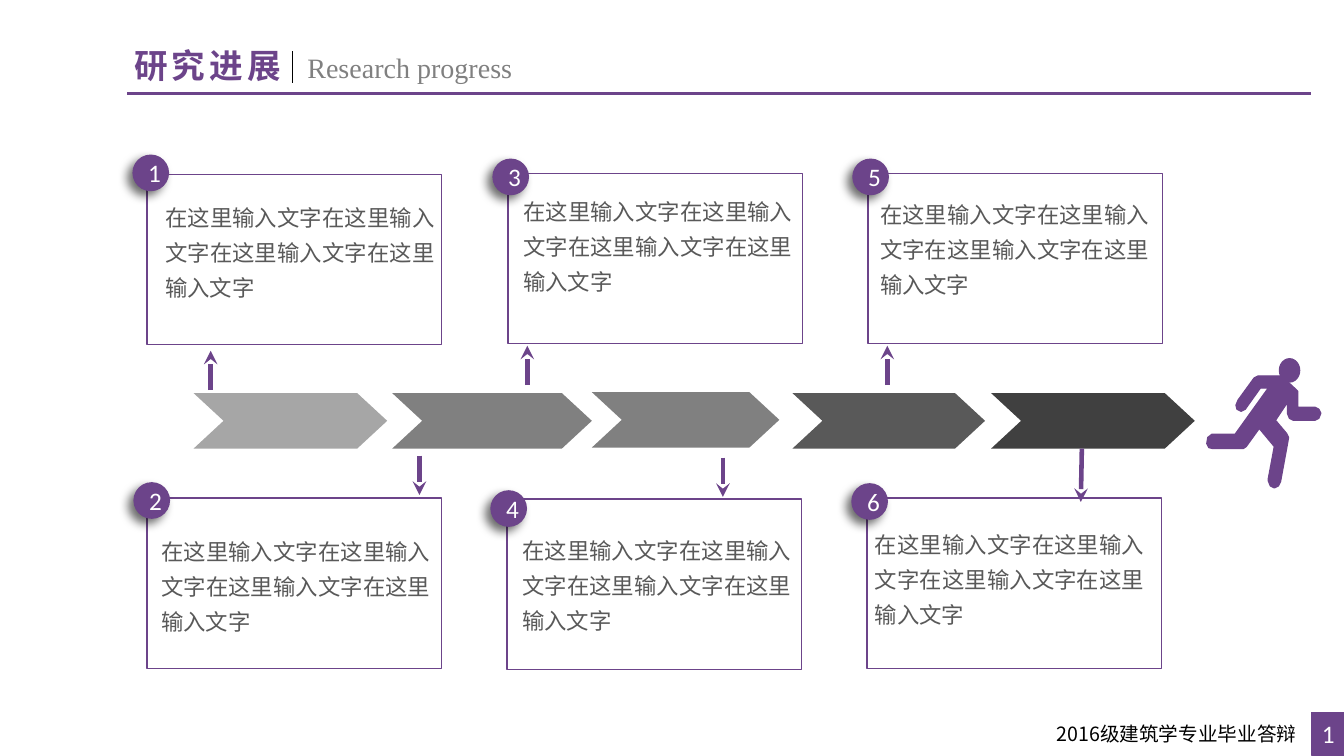
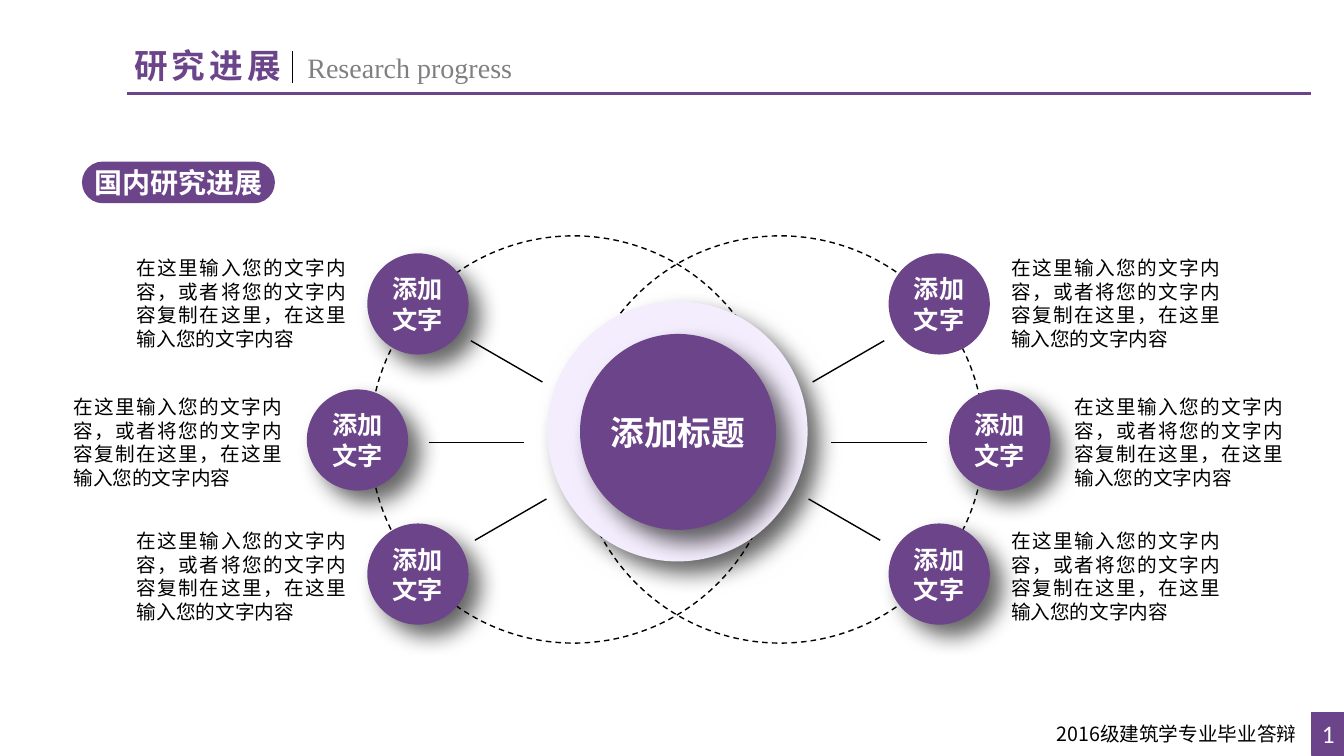
from dataclasses import dataclass

from lxml import etree
from pptx import Presentation
from pptx.dml.color import RGBColor
from pptx.enum.dml import MSO_LINE
from pptx.enum.shapes import MSO_CONNECTOR, MSO_SHAPE
from pptx.enum.text import MSO_ANCHOR, MSO_AUTO_SIZE, PP_ALIGN
from pptx.oxml.ns import qn
from pptx.util import Emu, Pt

PX = 9144  # EMU in one px, 100 px to the inch
TITLE_ONLY = 5

RECT, OVAL = MSO_SHAPE.RECTANGLE, MSO_SHAPE.OVAL
PILL, CHEVRON = MSO_SHAPE.ROUNDED_RECTANGLE, MSO_SHAPE.CHEVRON
STRAIGHT, DASH = MSO_CONNECTOR.STRAIGHT, MSO_LINE.DASH
LEFT, CENTER, JUSTIFY = PP_ALIGN.LEFT, PP_ALIGN.CENTER, PP_ALIGN.JUSTIFY
TOP, MIDDLE = MSO_ANCHOR.TOP, MSO_ANCHOR.MIDDLE


@dataclass(frozen=True)
class Theme:
    purple: str = "6C448A"
    lilac: str = "F4EDFD"
    black: str = "000000"
    white: str = "FFFFFF"
    gray: str = "808080"
    body: str = "595959"
    chevrons: tuple = ("A6A6A6", "808080", "808080", "595959", "404040")
    cjk: str = "Noto Sans CJK SC"
    latin: str = "Calibri"
    serif: str = "Times New Roman"
    title: int = 24
    subtitle: int = 20
    label: int = 18
    card: int = 16
    small: int = 14
    # Shadows: opacity %, blur pt, distance pt, direction in degrees
    badge_shadow: tuple = (57, 7, 5, 135)
    node_shadow: tuple = (60, 16, 12, 45)


THEME = Theme()

CARD_TEXT = "在这里输入文字" * 4
CAPTION = "在这里输入您的文字内容，或者将您的文字内容复制在这里，在这里输入您的文字内容"

# Cards: box left and top, badge left and top, text left and top
CARDS = [
    (146, 173, 132, 154, 154, 190),
    (146, 494, 133, 479, 150, 521),
    (504, 172, 489, 158, 509, 184),
    (503, 495, 487, 487, 508, 520),
    (861, 172, 846, 158, 863, 187),
    (860, 494, 845, 480, 858, 514),
]
# Arrows from the chevrons to the cards: tail, then tip
ARROWS = [
    (209, 387, 209, 348), (416, 452, 416, 491), (523, 382, 523, 343),
    (717, 454, 717, 493), (880, 382, 880, 343), (1073, 445, 1072, 498),
]
# Chevrons: left, top, width
CHEVRONS = [(192, 390, 192), (389, 390, 198), (587, 389, 186),
            (786, 390, 191), (983, 390, 202)]
RUNNER = [
    (1202, 431), (1225, 431), (1258, 385), (1250, 385), (1235, 406),
    (1231, 408), (1227, 406), (1226, 402), (1228, 397), (1244, 375),
    (1248, 373), (1271, 373), (1287, 388), (1287, 404), (1304, 404),
    (1308, 406), (1310, 410), (1308, 415), (1304, 417), (1283, 417),
    (1279, 415), (1277, 410), (1277, 399), (1265, 417), (1276, 430),
    (1278, 434), (1277, 440), (1270, 478), (1268, 482), (1264, 484),
    (1260, 482), (1258, 477), (1258, 475), (1264, 443), (1249, 425),
    (1236, 443), (1233, 445), (1229, 445), (1203, 445), (1199, 444),
    (1197, 440), (1198, 434),
]

# Left half of the hub diagram; the right half mirrors it
NODES = [(365, 252, 126, 249), (305, 387, 63, 387), (365, 520, 126, 520)]
SPOKES = [(467, 338, 538, 379), (471, 536, 542, 495), (425, 439, 520, 439)]
NODE_SIZE, CAPTION_WIDTH = 99, 227
NODE_MIRROR, SPOKE_MIRROR = 1346, 1344


def emu(*lengths):
    return [Emu(length * PX) for length in lengths]


def rgb(color):
    return RGBColor.from_string(color)


def write(shape, text, size=THEME.label, font=THEME.cjk, color=THEME.black,
          bold=False, align=LEFT, anchor=TOP, wrap=True, inset=None,
          leading=None, tracking=None):
    """Put one formatted paragraph into a shape."""
    frame = shape.text_frame
    frame.auto_size = MSO_AUTO_SIZE.NONE
    frame.word_wrap = wrap
    frame.vertical_anchor = anchor
    if inset is not None:
        frame.margin_left = frame.margin_right = Emu(inset * PX)
        frame.margin_top = frame.margin_bottom = Emu(inset * PX)
    para = frame.paragraphs[0]
    para.alignment = align
    if leading:
        para.line_spacing = leading
    span = para.add_run()
    span.text = text
    span.font.size = Pt(size)
    span.font.bold = bold
    span.font.color.rgb = rgb(color)
    span.font.name = font
    props = span.font._element
    etree.SubElement(props, qn("a:ea")).set("typeface", font)
    if tracking:
        props.set("spc", str(tracking * 100))


def add_text(page, place, text, **style):
    box = page.shapes.add_textbox(*emu(*place))
    write(box, text, **style)
    return box


def paint(shape, fill=None, line=None, dash=None, shadow=None):
    """Set fill, outline and shadow of a shape."""
    shape.shadow.inherit = False
    if fill:
        shape.fill.solid()
        shape.fill.fore_color.rgb = rgb(fill)
    else:
        shape.fill.background()
    if line:
        shape.line.color.rgb = rgb(line)
        shape.line.width = Pt(1)
        if dash:
            shape.line.dash_style = dash
    else:
        shape.line.fill.background()
    if shadow:
        opacity, blur, distance, angle = shadow
        effects = shape._element.spPr.find(qn("a:effectLst"))
        outer = etree.SubElement(effects, qn("a:outerShdw"), {
            "blurRad": str(Pt(blur)), "dist": str(Pt(distance)),
            "dir": str(angle * 60000), "algn": "ctr", "rotWithShape": "0"})
        tint = etree.SubElement(outer, qn("a:srgbClr"), val=THEME.black)
        etree.SubElement(tint, qn("a:alpha"), val=str(opacity * 1000))


def add_shape(page, kind, place, adjust=None, **look):
    shape = page.shapes.add_shape(kind, *emu(*place))
    if adjust is not None:
        shape.adjustments[0] = adjust
    paint(shape, **look)
    return shape


def add_line(page, ends, color=THEME.black, width=1, arrow=False):
    line = page.shapes.add_connector(STRAIGHT, *emu(*ends))
    line.line.color.rgb = rgb(color)
    line.line.width = Pt(width)
    props = line._element.spPr
    if arrow:
        etree.SubElement(props.find(qn("a:ln")), qn("a:tailEnd"), type="stealth")
    etree.SubElement(props, qn("a:effectLst"))


def add_page(deck):
    """Add a slide with the shared heading and footer."""
    page = deck.slides.add_slide(deck.slide_layouts[TITLE_ONLY])
    title = page.shapes.title
    title.left, title.top, title.width, title.height = emu(123, 40, 172, 50)
    write(title, "研究进展", size=THEME.title, color=THEME.purple, bold=True,
          wrap=False, tracking=3)
    add_text(page, (295, 45, 228, 44), "Research progress",
             size=THEME.subtitle, font=THEME.serif, color=THEME.gray, wrap=False)
    add_line(page, (290, 51, 290, 82), width=0.5)
    add_line(page, (126, 93, 1300, 93), THEME.purple, 2.25)

    add_text(page, (1038, 707, 264, 42), "2016级建筑学专业毕业答辩",
             size=THEME.small, anchor=MIDDLE, wrap=False)
    tab = add_shape(page, RECT, (1301, 707, 33, 42),
                    fill=THEME.purple, line=THEME.purple)
    write(tab, "1", font=THEME.latin, color=THEME.white, align=CENTER,
          anchor=MIDDLE, wrap=False)
    return page


def add_card(page, number, card):
    box_x, box_y, badge_x, badge_y, text_x, text_y = card
    add_shape(page, RECT, (box_x, box_y, 292, 169), line=THEME.purple)
    badge = add_shape(page, OVAL, (badge_x, badge_y, 35, 35), fill=THEME.purple,
                      line=THEME.purple, shadow=THEME.badge_shadow)
    write(badge, str(number), font=THEME.latin, color=THEME.white,
          align=CENTER, anchor=MIDDLE)
    add_text(page, (text_x, text_y, 287, 115), CARD_TEXT, size=THEME.card,
             color=THEME.body, align=JUSTIFY, leading=1.3)


def add_runner(page):
    add_shape(page, OVAL, (1269, 356, 20, 23),
              fill=THEME.purple, line=THEME.purple)
    outline = page.shapes.build_freeform(*RUNNER[0], scale=PX)
    outline.add_line_segments(RUNNER[1:], close=True)
    paint(outline.convert_to_shape(), fill=THEME.purple, line=THEME.purple)


def add_disc(page, place, text, size, shadow=THEME.node_shadow):
    disc = add_shape(page, OVAL, place, fill=THEME.purple, line=THEME.purple,
                     shadow=shadow)
    write(disc, text, size=size, color=THEME.white, bold=True, align=CENTER,
          anchor=MIDDLE, inset=0)


def add_node(page, x, y, caption_x, caption_y, shadow):
    add_disc(page, (x, y, NODE_SIZE, NODE_SIZE), "添加文字", THEME.label, shadow)
    add_text(page, (caption_x, caption_y, CAPTION_WIDTH, 104), CAPTION,
             size=THEME.small, align=JUSTIFY)


def build_timeline(deck):
    page = add_page(deck)
    for (x, y, width), color in zip(CHEVRONS, THEME.chevrons):
        add_shape(page, CHEVRON, (x, y, width, 55), adjust=0.54, fill=color)
    for number, card in enumerate(CARDS, 1):
        add_card(page, number, card)
    for ends in ARROWS:
        add_line(page, ends, THEME.purple, 3.25, arrow=True)
    add_runner(page)


def build_hub(deck):
    page = add_page(deck)
    heading = add_shape(page, PILL, (82, 161, 190, 40), adjust=0.5,
                        fill=THEME.purple, line=THEME.purple)
    write(heading, "国内研究进展", size=THEME.subtitle, color=THEME.white,
          bold=True, align=CENTER, anchor=MIDDLE, wrap=False, inset=0)

    # Dashed rings and spokes
    for x in (367, 572):
        add_shape(page, OVAL, (x, 234, 404, 404), line=THEME.black, dash=DASH)
    for x1, y1, x2, y2 in SPOKES:
        add_line(page, (x1, y1, x2, y2))
        add_line(page, (SPOKE_MIRROR - x1, y1, SPOKE_MIRROR - x2, y2))

    # Nodes with captions; the top right one is flat
    for row, (x, y, caption_x, caption_y) in enumerate(NODES):
        add_node(page, x, y, caption_x, caption_y, THEME.node_shadow)
        add_node(page, NODE_MIRROR - NODE_SIZE - x, y,
                 NODE_MIRROR - CAPTION_WIDTH - caption_x, caption_y,
                 THEME.node_shadow if row else None)

    # Hub
    add_shape(page, OVAL, (543, 299, 258, 258), fill=THEME.lilac,
              shadow=THEME.node_shadow)
    add_disc(page, (576, 332, 193, 193), "添加标题", THEME.title)


def main():
    deck = Presentation()
    deck.slide_width, deck.slide_height = emu(1333, 750)
    build_timeline(deck)
    build_hub(deck)
    deck.save("out.pptx")


if __name__ == "__main__":
    main()
